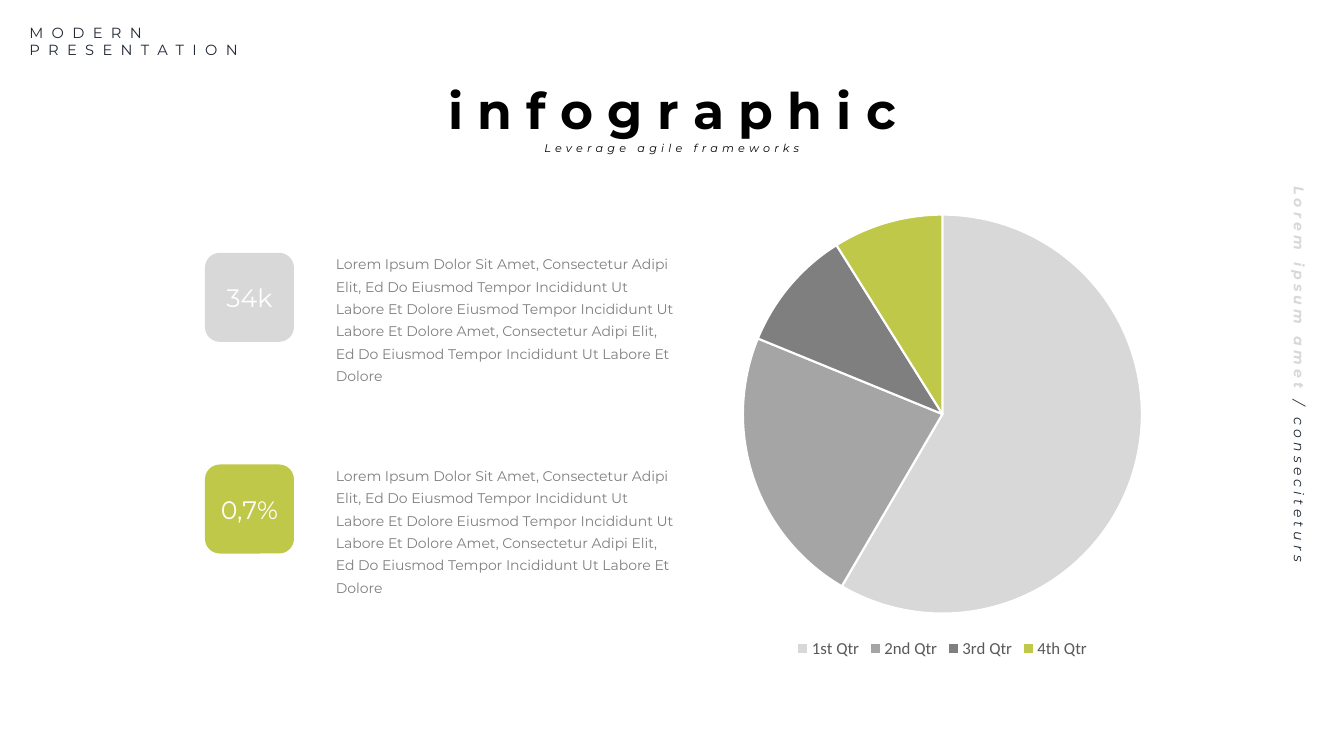
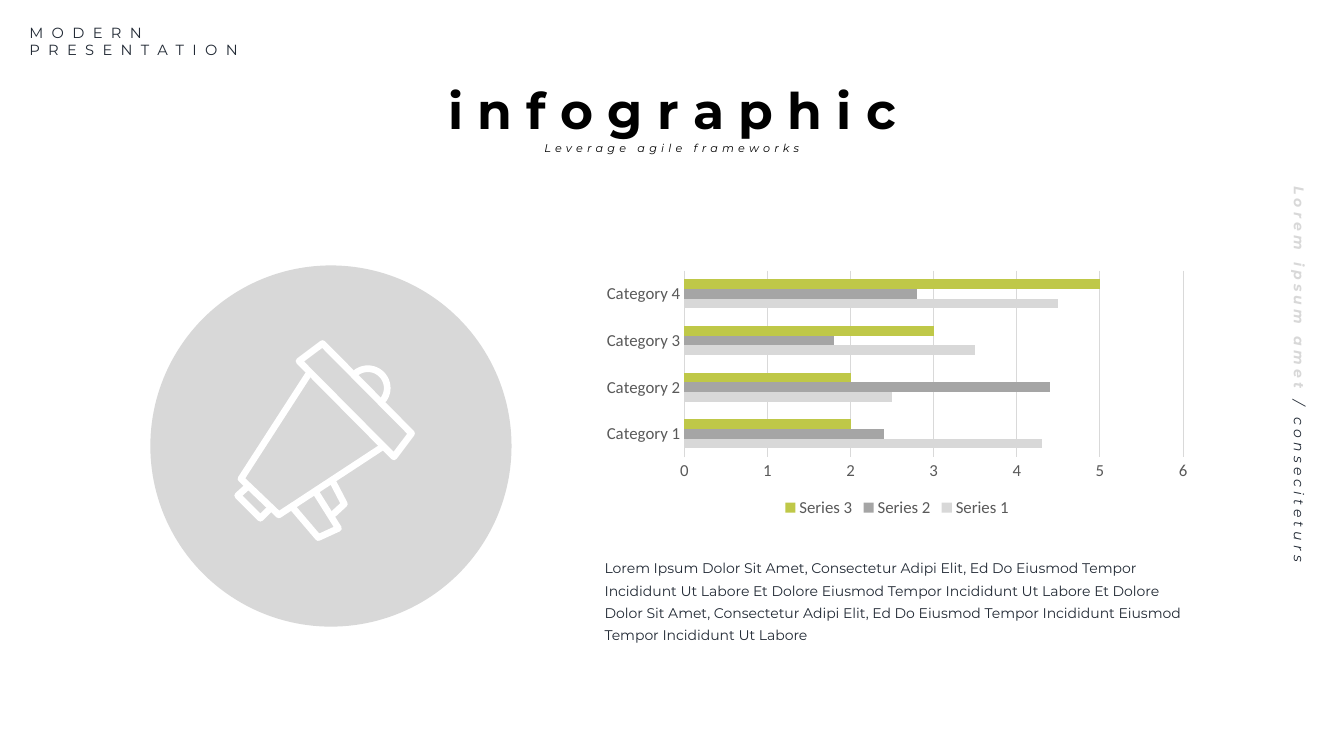
import math
from dataclasses import dataclass

from lxml import etree
from pptx import Presentation
from pptx.chart import data as cdata
from pptx.dml.color import RGBColor
from pptx.enum import chart as charts, shapes, text
from pptx.oxml import ns
from pptx.util import Emu, Pt

# Grid: 160 columns by 90 rows of square cells
COLS, ROWS, CELL = 160, 90, 76200
FONT, CHART_FONT = "Montserrat", "Calibri"
COLORS = {
    "white": "FFFFFF", "black": "000000", "navy": "222A35",
    "light": "D8D8D8", "mid": "A5A5A5", "dark": "7F7F7F", "lime": "BFC848",
    "copy": "808080", "label": "595959", "grid": "D9D9D9",
}
LOREM = ("Lorem Ipsum Dolor Sit Amet, Consectetur Adipi Elit, Ed Do Eiusmod Tempor "
         "Incididunt Ut Labore Et Dolore Eiusmod Tempor Incididunt Ut Labore Et Dolore ")
FACT_TEXT = LOREM + ("Amet, Consectetur Adipi Elit, Ed Do Eiusmod Tempor "
                     "Incididunt Ut Labore Et Dolore")
CHART_NOTE = LOREM + ("Dolor Sit Amet, Consectetur Adipi Elit, Ed Do Eiusmod Tempor "
                      "Incididunt Eiusmod Tempor Incididunt Ut Labore")


@dataclass(frozen=True)
class Box:
    col: float
    row: float
    cols: float
    rows: float

    def emu(self) -> tuple[Emu, ...]:
        return tuple(cells(n) for n in (self.col, self.row, self.cols, self.rows))


@dataclass(frozen=True)
class Style:
    size: float
    color: str
    bold: bool = False
    italic: bool = False
    tracking: float = 0


@dataclass(frozen=True)
class Fact:
    value: str
    color: str


FACTS = (Fact("34k", "light"), Fact("0,7%", "lime"))
FACT_PITCH = 25.2

# Megaphone strokes: (points in grid cells, closed)
KNOB = [(43.8 + 2.3 * math.cos(math.radians(a)), 46.2 + 2.3 * math.sin(math.radians(a)))
        for a in range(-127, 38, 4)]
MEGAPHONE = (
    ([(36.7, 44.6), (28.7, 57), (33.2, 61.3), (45.4, 53.3)], False),
    ([(38.4, 40.9), (35.6, 43), (46.9, 54.4), (49, 51.6)], True),
    (KNOB, False),
    ([(29.3, 58.1), (28.3, 59), (31, 61.7), (32, 60.7)], False),
    ([(35, 60.6), (37.9, 64), (40.3, 62.9), (37.6, 58.6)], False),
    ([(39.7, 57.5), (41, 60), (39.7, 61.2)], False),
)


# Basic helpers
def cells(n: float) -> Emu:
    return Emu(round(n * CELL))


def rgb(name: str) -> RGBColor:
    return RGBColor.from_string(COLORS[name])


def style_run(r, style: Style) -> None:
    r.font.name, r.font.size = FONT, Pt(style.size)
    r.font.bold, r.font.italic = style.bold, style.italic
    r.font.color.rgb = rgb(style.color)
    if style.tracking:
        r._r.get_or_add_rPr().set("spc", str(round(style.tracking * 100)))


def add_text(slide, box: Box, content: str, style: Style, align=text.PP_ALIGN.LEFT,
             spacing=None, inset: bool = True):
    sp = slide.shapes.add_textbox(*box.emu())
    tf = sp.text_frame
    tf.word_wrap = True
    tf.auto_size = text.MSO_AUTO_SIZE.SHAPE_TO_FIT_TEXT
    if not inset:
        tf.margin_left = tf.margin_right = tf.margin_top = tf.margin_bottom = 0
    tf.text = content
    for p in tf.paragraphs:
        p.alignment = align
        if spacing:
            p.line_spacing = spacing
        for r in p.runs:
            style_run(r, style)
    return sp


def add_solid(slide, kind, box: Box, color: str):
    sp = slide.shapes.add_shape(kind, *box.emu())
    sp.shadow.inherit = False
    sp.fill.solid()
    sp.fill.fore_color.rgb = rgb(color)
    sp.line.fill.background()
    return sp


# Parts shared by the slides
def add_page(prs):
    slide = prs.slides.add_slide(prs.slide_layouts[5])
    center = text.PP_ALIGN.CENTER

    title = slide.shapes.title
    title.left, title.top, title.width, title.height = Box(41.3, 8.8, 77.4, 8.5).emu()
    tf = title.text_frame
    tf.text = "i n f o g r a p h i c"
    tf.auto_size = text.MSO_AUTO_SIZE.NONE
    tf.vertical_anchor = text.MSO_ANCHOR.TOP
    tf.paragraphs[0].alignment = center
    style_run(tf.paragraphs[0].runs[0], Style(36, "black", bold=True))

    add_text(slide, Box(3.5, 2.8, 34.4, 4.2), "MODERN\nPRESENTATION",
             Style(10.5, "navy", tracking=6), inset=False)
    add_text(slide, Box(58.4, 16, 43.2, 2.2), "Leverage agile frameworks",
             Style(8, "black", italic=True, tracking=3), center, 1.5, inset=False)

    side = add_text(slide, Box(111.8, 43.3, 86, 3.4), "Lorem ipsum amet ",
                    Style(10, "light", True, True, 3), center, 1.1)
    side.rotation = 90
    r = side.text_frame.paragraphs[0].add_run()
    r.text = "/ conseciteturs "
    style_run(r, Style(10, "navy", italic=True, tracking=3))
    return slide


def add_chart(slide, kind, box: Box, categories: list[str], series: dict[str, tuple]):
    chart_data = cdata.CategoryChartData()
    chart_data.categories = categories
    for name, values in series.items():
        chart_data.add_series(name, values)
    chart = slide.shapes.add_chart(kind, *box.emu(), chart_data).chart
    chart.has_title = False
    chart.has_legend = True
    chart.legend.position = charts.XL_LEGEND_POSITION.BOTTOM
    chart.legend.include_in_layout = False
    for font in (chart.font, chart.legend.font):
        font.name, font.size = CHART_FONT, Pt(12)
        font.color.rgb = rgb("label")
    return chart


def fill_format(fmt, color: str) -> None:
    fmt.fill.solid()
    fmt.fill.fore_color.rgb = rgb(color)


# Slide 1: facts and pie
def build_pie_slide(prs) -> None:
    slide = add_page(prs)
    chart = add_chart(slide, charts.XL_CHART_TYPE.PIE, Box(71, 23.9, 82.4, 55),
                      ["1st Qtr", "2nd Qtr", "3rd Qtr", "4th Qtr"],
                      {"Series 1": (59, 23, 10, 9)})
    plot = chart.plots[0]
    plot.vary_by_categories = True
    for i, color in enumerate(("light", "mid", "dark", "lime")):
        fmt = plot.series[0].points[i].format
        fill_format(fmt, color)
        fmt.line.color.rgb = rgb("white")
        fmt.line.width = Pt(1.5)

    for i, fact in enumerate(FACTS):
        shift = i * FACT_PITCH
        tile = add_solid(slide, shapes.MSO_SHAPE.ROUNDED_RECTANGLE,
                         Box(24.4, 30.1 + shift, 10.6, 10.6), fact.color)
        tf = tile.text_frame
        tf.text = fact.value
        tf.vertical_anchor = text.MSO_ANCHOR.MIDDLE
        tf.paragraphs[0].alignment = text.PP_ALIGN.CENTER
        style_run(tf.paragraphs[0].runs[0], Style(18, "white"))
        add_text(slide, Box(38.8, 29.2 + shift, 42.8, 17), FACT_TEXT,
                 Style(10, "copy"), spacing=Pt(16))


# Slide 2: megaphone and bars
def add_megaphone(slide) -> None:
    builder = None
    for points, closed in MEGAPHONE:
        (x, y), *rest = [(cells(px), cells(py)) for px, py in points]
        if builder is None:
            builder = slide.shapes.build_freeform(x, y)
        else:
            builder.move_to(x, y)
        builder.add_line_segments(rest, close=closed)
    sp = builder.convert_to_shape()
    sp.shadow.inherit = False
    sp.fill.background()
    sp.line.color.rgb = rgb("white")
    sp.line.width = Pt(4.75)
    ln = sp.line._get_or_add_ln()
    ln.set("cap", "rnd")
    etree.SubElement(ln, ns.qn("a:round"))


def build_bar_slide(prs) -> None:
    slide = add_page(prs)
    add_solid(slide, shapes.MSO_SHAPE.OVAL, Box(17.9, 31.6, 43, 43), "light")
    add_megaphone(slide)

    chart = add_chart(slide, charts.XL_CHART_TYPE.BAR_CLUSTERED, Box(70.8, 31.6, 72, 30.5),
                      [f"Category {n}" for n in range(1, 5)],
                      {"Series 1": (4.3, 2.5, 3.5, 4.5),
                       "Series 2": (2.4, 4.4, 1.8, 2.8),
                       "Series 3": (2, 2, 3, 5)})
    plot = chart.plots[0]
    plot.vary_by_categories = False
    plot.gap_width = 182
    for series, color in zip(plot.series, ("light", "mid", "lime")):
        fill_format(series.format, color)
    for axis in (chart.category_axis, chart.value_axis):
        axis.major_tick_mark = axis.minor_tick_mark = charts.XL_TICK_MARK.NONE
    chart.value_axis.has_major_gridlines = True
    chart.value_axis.format.line.fill.background()
    for line in (chart.category_axis.format.line,
                 chart.value_axis.major_gridlines.format.line):
        line.color.rgb = rgb("grid")
        line.width = Pt(0.75)

    add_text(slide, Box(70.8, 65.4, 72, 11.8), CHART_NOTE,
             Style(10, "navy"), spacing=Pt(16))


def main() -> None:
    prs = Presentation()
    prs.slide_width, prs.slide_height = cells(COLS), cells(ROWS)
    build_pie_slide(prs)
    build_bar_slide(prs)
    prs.save("out.pptx")


if __name__ == "__main__":
    main()
